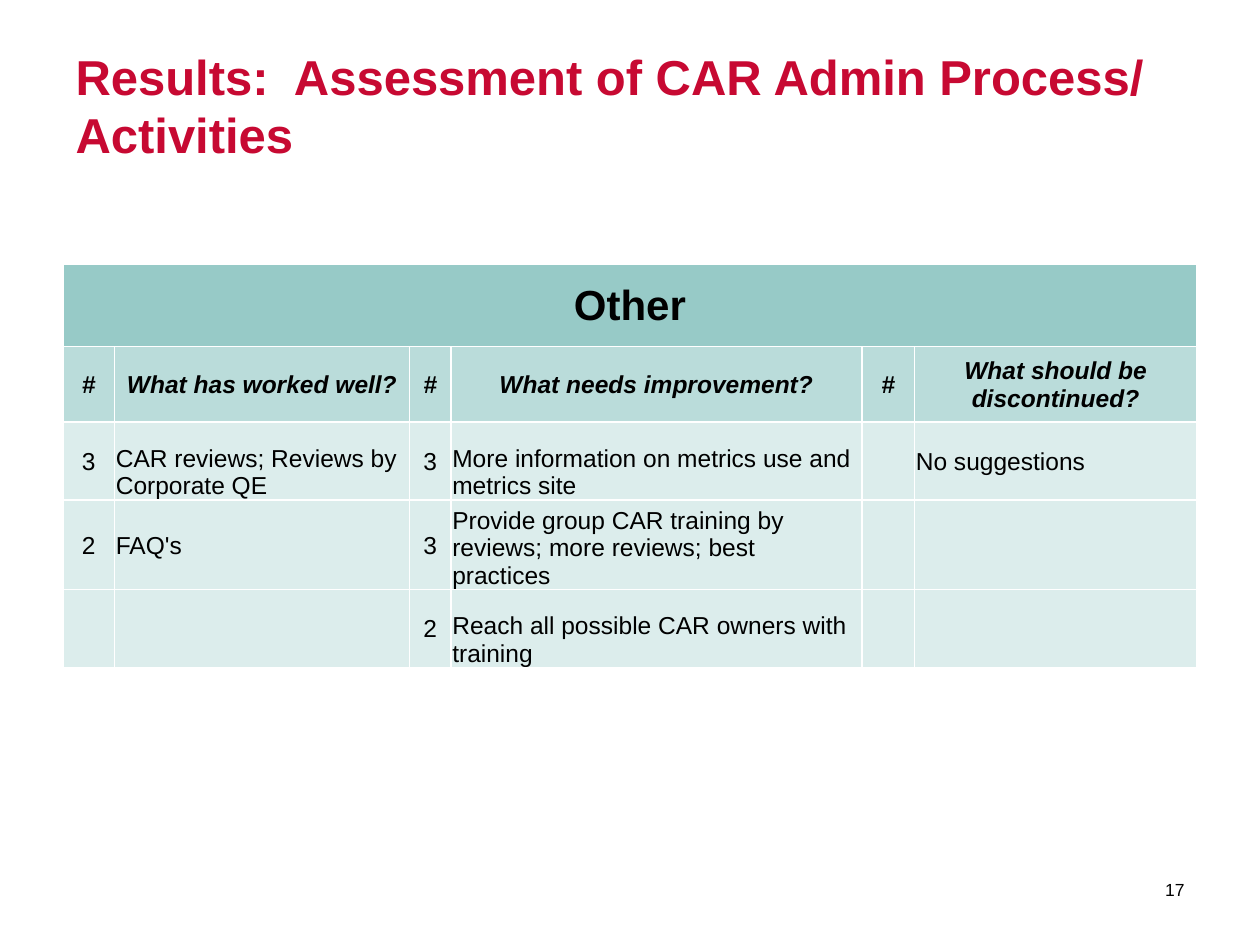
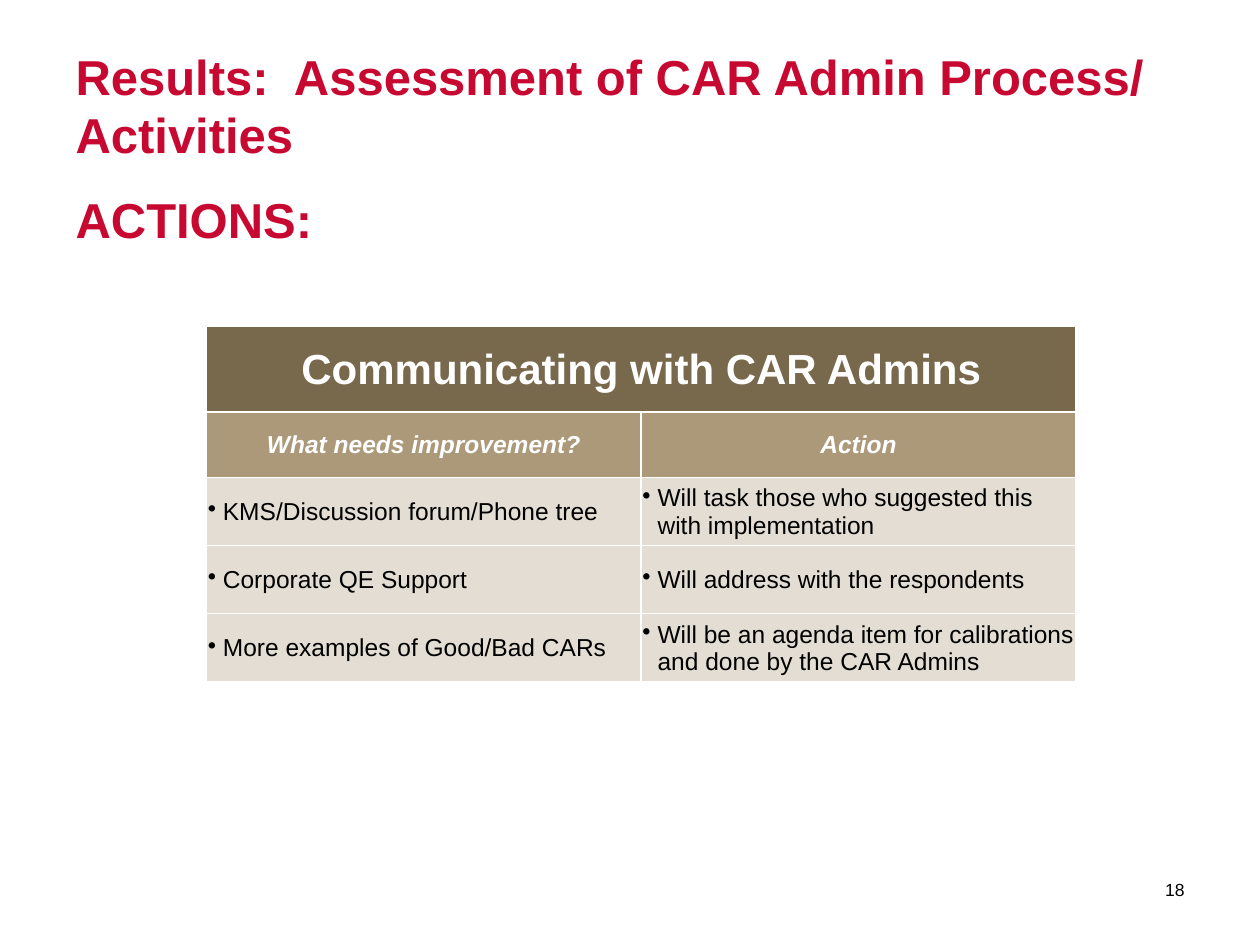
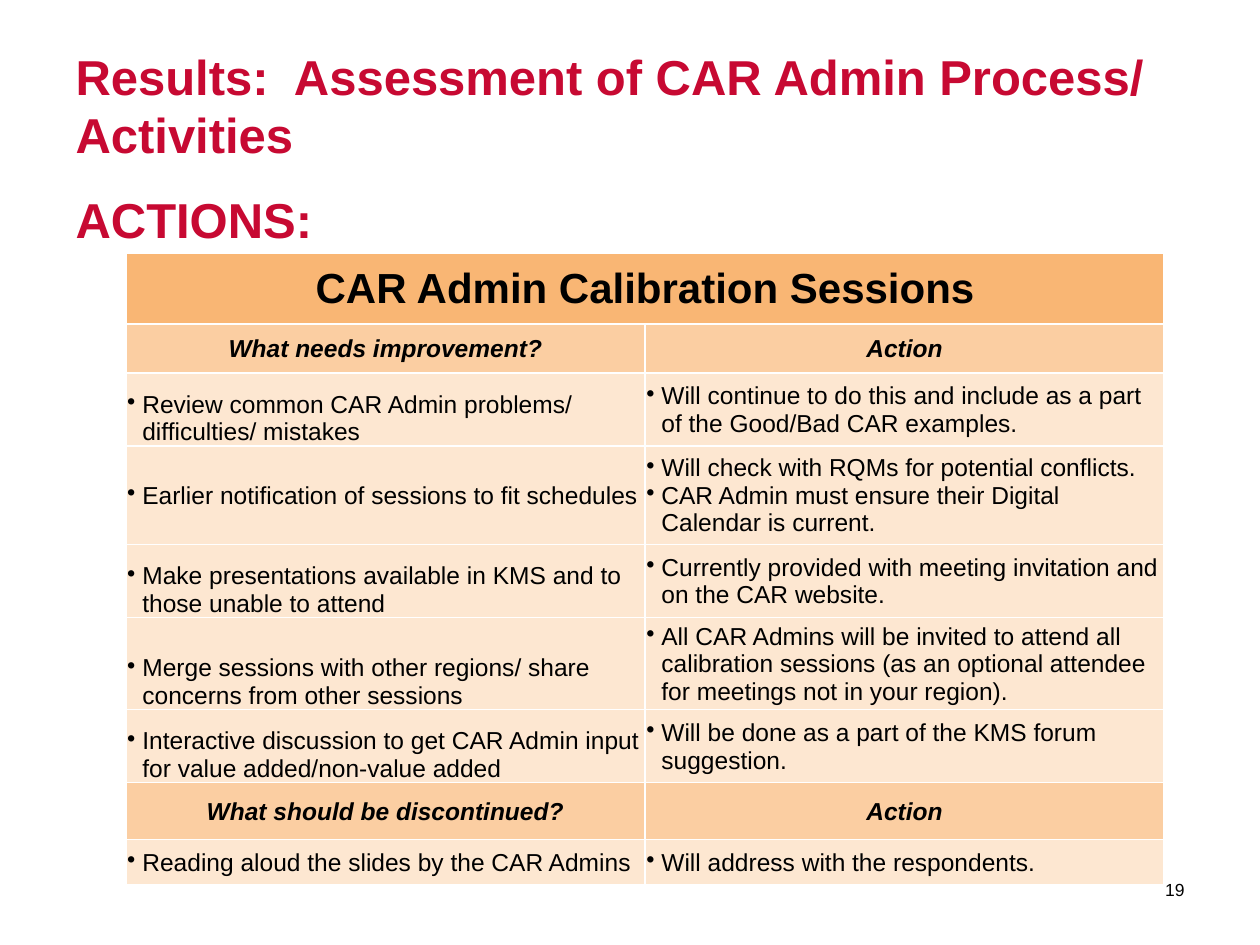
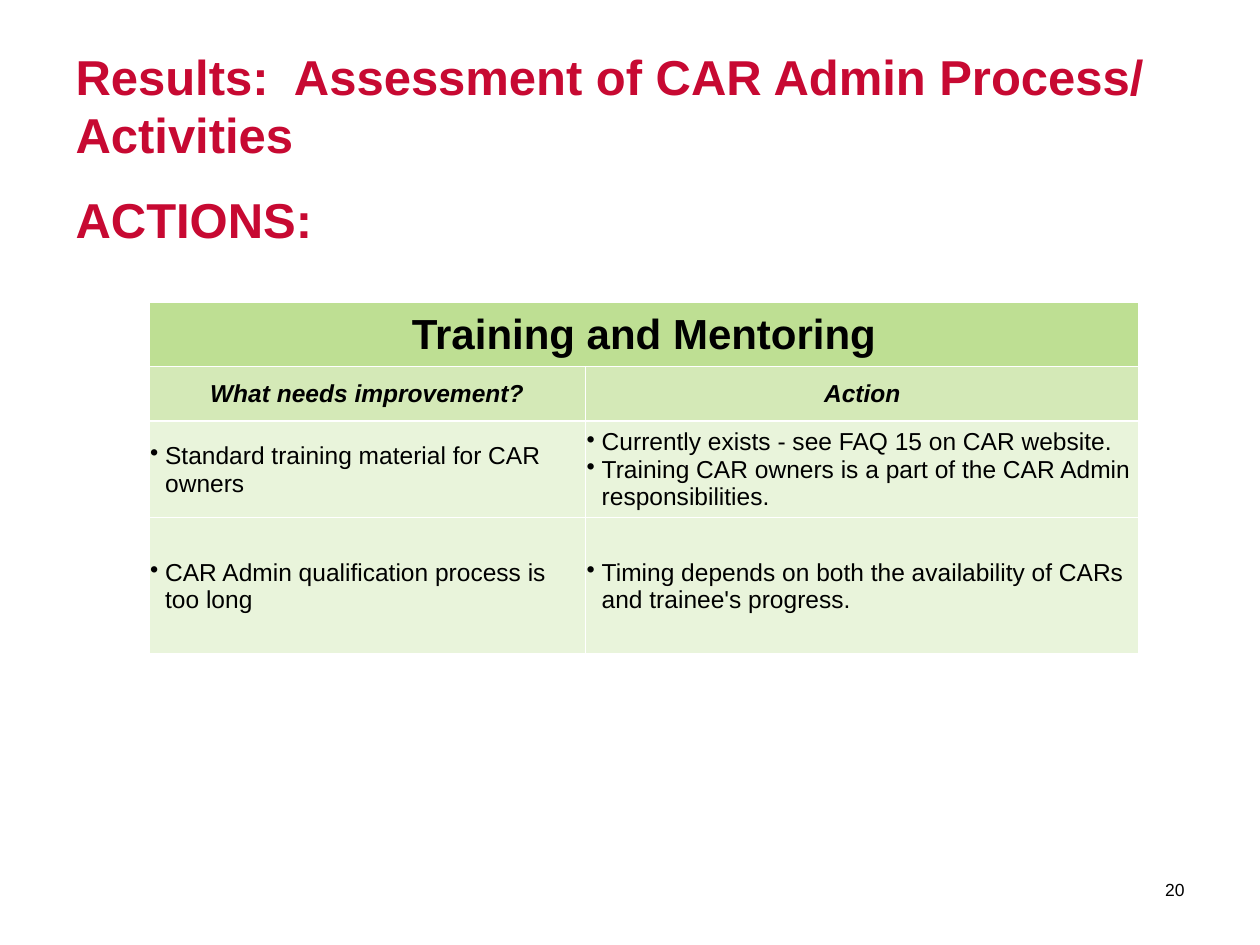
from lxml import etree
from pptx import Presentation
from pptx.dml.color import RGBColor
from pptx.enum.text import MSO_ANCHOR, MSO_AUTO_SIZE, PP_ALIGN
from pptx.oxml.ns import qn
from pptx.util import Pt

TOP, MIDDLE, BOTTOM = MSO_ANCHOR.TOP, MSO_ANCHOR.MIDDLE, MSO_ANCHOR.BOTTOM
LEFT, CENTER, RIGHT = PP_ALIGN.LEFT, PP_ALIGN.CENTER, PP_ALIGN.RIGHT

FONT = "Arial"
RED, BLACK, WHITE = "C70932", "000000", "FFFFFF"
TITLE = "Results:  Assessment of CAR Admin Process/ Activities"
ACTIONS = "ACTIONS:"
IMPROVE, DISCONTINUE = "What needs improvement?", "What should be discontinued?"
FIRST_NUMBER = 17
TITLE_ONLY_LAYOUT = 5
BULLET_INDENT = 8.64
CELL_MARGINS = {"margin_left": Pt(0.72), "margin_right": Pt(0.72),
                "margin_top": Pt(0.72), "margin_bottom": Pt(0)}

# "fills" holds the colours of the heading, the subheadings and the body.
# "bottom" lists the (row, column) cells whose text sits at the bottom.
# A list in a cell becomes several bullet paragraphs.
SLIDES = [
    {
        "title": [TITLE], "bullets": False,
        "left": 36, "top": 151.2,
        "columns": [29.5, 168.5, 23.8, 234.7, 30.2, 161.3],
        "heights": [46.8, 43.2] + [44.6] * 3,
        "fills": ["97CAC7", "BADCDA", "DCEDEC"], "header_color": BLACK,
        "subheadings": [1], "bottom": [(2, 1), (2, 3), (3, 3), (4, 3)],
        "heading": "Other",
        "rows": [
            ["#", "What has worked well?", "#", IMPROVE, "#", DISCONTINUE],
            ["3", "CAR reviews; Reviews by Corporate QE",
             "3", "More information on metrics use and metrics site",
             "", "No suggestions"],
            ["2", "FAQ's",
             "3", "Provide group CAR training by reviews; more reviews; best practices",
             "", ""],
            ["", "", "2", "Reach all possible CAR owners with training", "", ""],
        ],
    },
    {
        "title": [TITLE, ACTIONS], "bullets": True,
        "left": 118, "top": 186.5,
        "columns": [248.4, 248.4],
        "heights": [49, 37.4] + [38.9] * 3,
        "fills": ["78684C", "AB997A", "E3DDD3"], "header_color": WHITE,
        "subheadings": [1], "bottom": [],
        "heading": "Communicating with CAR Admins",
        "rows": [
            [IMPROVE, "Action"],
            ["KMS/Discussion forum/Phone tree",
             "Will task those who suggested this with implementation"],
            ["Corporate QE Support", "Will address with the respondents"],
            ["More examples of Good/Bad CARs",
             "Will be an agenda item for calibrations and done by the CAR Admins"],
        ],
    },
    {
        "title": [TITLE, ACTIONS], "bullets": True,
        "left": 72, "top": 144.8,
        "columns": [296.6, 296.6],
        "heights": [40.3, 28.1, 41.8, 56.2, 41.8, 52.6, 41.8, 32.4, 25.9],
        "fills": ["F9B674", "FBCEA2", "FDE7D1"], "header_color": BLACK,
        "subheadings": [1, 7], "bottom": [(2, 0), (4, 0), (5, 0), (6, 0)],
        "heading": "CAR Admin Calibration Sessions",
        "rows": [
            [IMPROVE, "Action"],
            ["Review common CAR Admin problems/ difficulties/ mistakes",
             "Will continue to do this and include as a part of the Good/Bad CAR examples."],
            ["Earlier notification of sessions to fit schedules",
             ["Will check with RQMs for potential conflicts.",
              "CAR Admin must ensure their Digital Calendar is current."]],
            ["Make presentations available in KMS and to those unable to attend",
             "Currently provided with meeting invitation and on the CAR website."],
            ["Merge sessions with other regions/ share concerns from other sessions",
             "All CAR Admins will be invited to attend all calibration sessions "
             "(as an optional attendee for meetings not in your region)."],
            ["Interactive discussion to get CAR Admin input for value added/non-value added",
             "Will be done as a part of the KMS forum suggestion."],
            [DISCONTINUE, "Action"],
            ["Reading aloud the slides by the CAR Admins",
             "Will address with the respondents."],
        ],
    },
    {
        "title": [TITLE, ACTIONS], "bullets": True,
        "left": 85, "top": 172.8,
        "columns": [249.5, 316.5],
        "heights": [36.7, 31, 55.4, 77.8],
        "fills": ["BEDF93", "D4E9B7", "E9F4DB"], "header_color": BLACK,
        "subheadings": [1], "bottom": [],
        "heading": "Training and Mentoring",
        "rows": [
            [IMPROVE, "Action"],
            ["Standard training material for CAR owners",
             ["Currently exists - see FAQ 15 on CAR website.",
              "Training CAR owners is a part of the CAR Admin responsibilities."]],
            ["CAR Admin qualification process is too long",
             "Timing depends on both the availability of CARs and trainee's progress."],
        ],
    },
]


def add_run(paragraph, text, color, size, bold=False, italic=False):
    run = paragraph.add_run()
    run.text = text
    style = {"name": FONT, "size": Pt(size), "bold": bold, "italic": italic}
    for name, value in style.items():
        setattr(run.font, name, value)
    run.font.color.rgb = RGBColor.from_string(color)


def format_cell(cell, fill, anchor):
    """Give a cell white borders, a fill, tight margins and an anchor."""
    properties = cell._tc.get_or_add_tcPr()
    for side in ("lnL", "lnR", "lnT", "lnB"):
        line = etree.SubElement(properties, qn(f"a:{side}"), w=str(Pt(1)))
        solid = etree.SubElement(line, qn("a:solidFill"))
        etree.SubElement(solid, qn("a:srgbClr"), val=WHITE)
    cell.fill.solid()
    cell.fill.fore_color.rgb = RGBColor.from_string(fill)
    for name, value in CELL_MARGINS.items():
        setattr(cell, name, value)
    cell.vertical_anchor = anchor


presentation = Presentation()
presentation.slide_width = Pt(720)
presentation.slide_height = Pt(540)

for number, content in enumerate(SLIDES, FIRST_NUMBER):
    slide = presentation.slides.add_slide(presentation.slide_layouts[TITLE_ONLY_LAYOUT])

    title = slide.shapes.title
    title.left, title.top, title.width, title.height = Pt(36), Pt(21.6), Pt(648), Pt(75)
    frame = title.text_frame
    frame.auto_size = MSO_AUTO_SIZE.NONE
    frame.vertical_anchor = TOP
    frame.margin_top = Pt(5.5)
    for index, text in enumerate(content["title"]):
        paragraph = frame.add_paragraph() if index else frame.paragraphs[0]
        paragraph.alignment = LEFT
        paragraph.line_spacing = Pt(33)
        if index:
            paragraph.space_before = Pt(15.6)
        add_run(paragraph, text, RED, 28, bold=True)

    number_box = slide.shapes.add_textbox(Pt(633.6), Pt(494), Pt(50.4), Pt(28.8))
    number_box.text_frame.word_wrap = True
    number_box.text_frame.vertical_anchor = MIDDLE
    paragraph = number_box.text_frame.paragraphs[0]
    paragraph.alignment = RIGHT
    add_run(paragraph, str(number), BLACK, 10)

    columns, heights = content["columns"], content["heights"]
    table = slide.shapes.add_table(
        len(heights), len(columns), Pt(content["left"]), Pt(content["top"]),
        Pt(sum(columns)), Pt(sum(heights))).table
    table.first_row = table.horz_banding = False
    for column, width in zip(table.columns, columns):
        column.width = Pt(width)
    for row, height in zip(table.rows, heights):
        row.height = Pt(height)

    heading_fill, subheading_fill, body_fill = content["fills"]
    for cell in table.rows[0].cells:
        format_cell(cell, heading_fill, MIDDLE)
    heading = table.cell(0, 0)
    heading.merge(table.cell(0, len(columns) - 1))
    paragraph = heading.text_frame.paragraphs[0]
    paragraph.alignment = CENTER
    add_run(paragraph, content["heading"], content["header_color"], 24, bold=True)

    for row_index, row in enumerate(content["rows"], 1):
        is_subheading = row_index in content["subheadings"]
        for column_index, entry in enumerate(row):
            cell = table.cell(row_index, column_index)
            anchor = BOTTOM if (row_index, column_index) in content["bottom"] else MIDDLE
            format_cell(cell, subheading_fill if is_subheading else body_fill, anchor)
            if not entry:
                continue
            texts = entry if isinstance(entry, list) else [entry]
            for index, text in enumerate(texts):
                frame = cell.text_frame
                paragraph = frame.add_paragraph() if index else frame.paragraphs[0]
                centered = is_subheading or text.isdigit()
                paragraph.alignment = CENTER if centered else LEFT
                if content["bullets"] and not is_subheading:
                    properties = paragraph._p.get_or_add_pPr()
                    properties.set("marL", str(Pt(BULLET_INDENT)))
                    properties.set("indent", str(-Pt(BULLET_INDENT)))
                    etree.SubElement(properties, qn("a:buChar"), char="•")
                color = content["header_color"] if is_subheading else BLACK
                add_run(paragraph, text, color, 14, bold=is_subheading, italic=is_subheading)

presentation.save("out.pptx")
